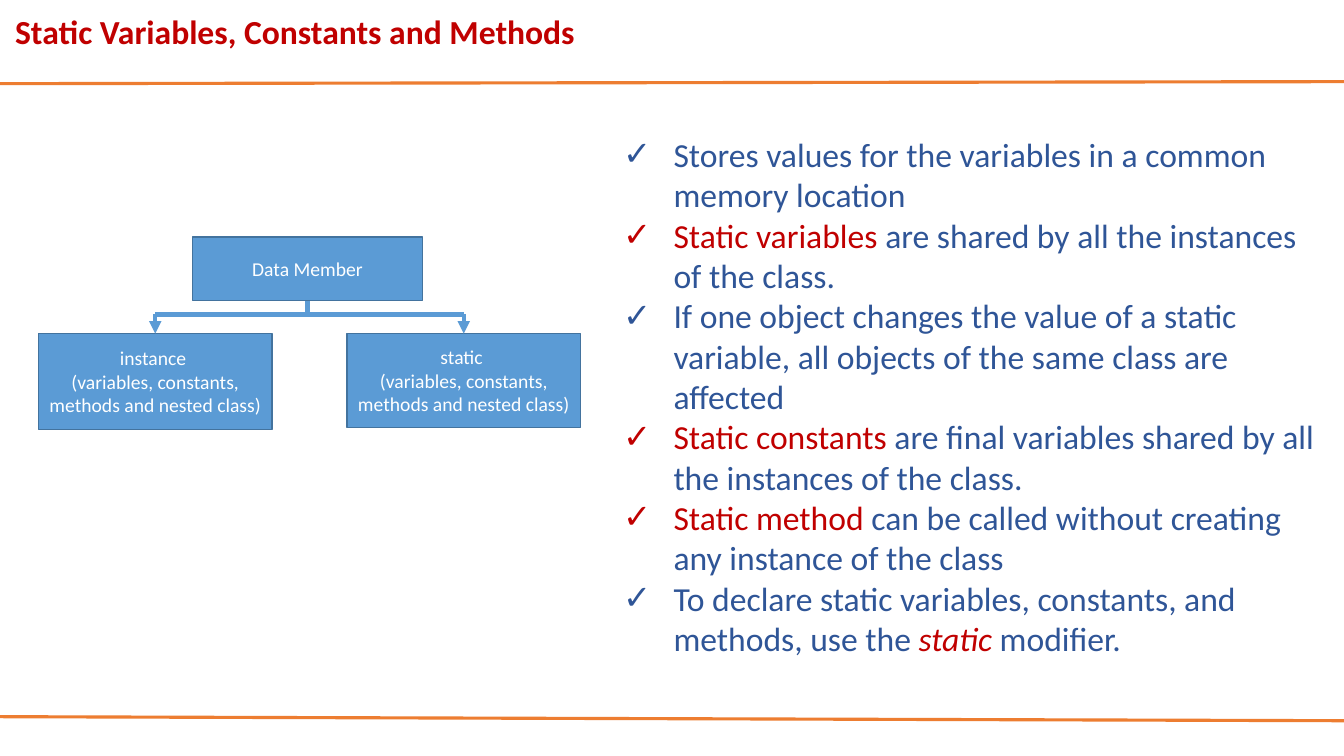
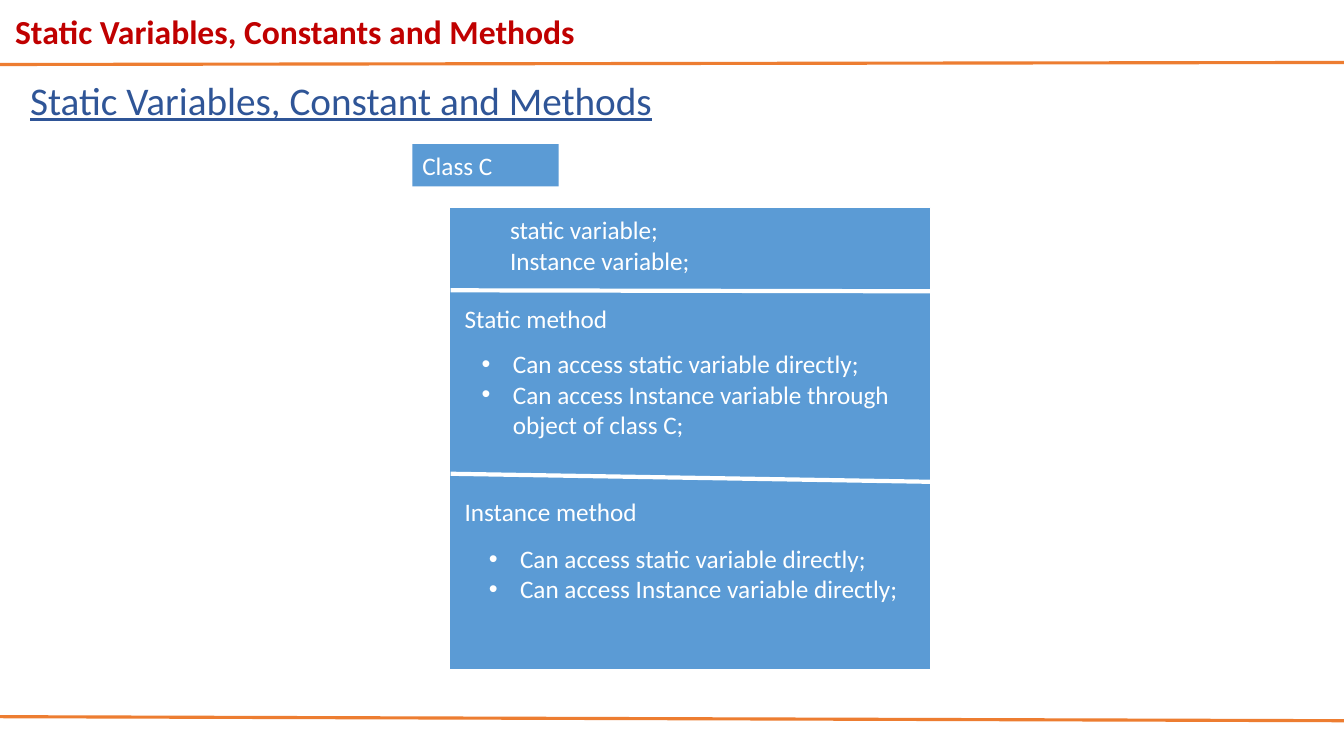
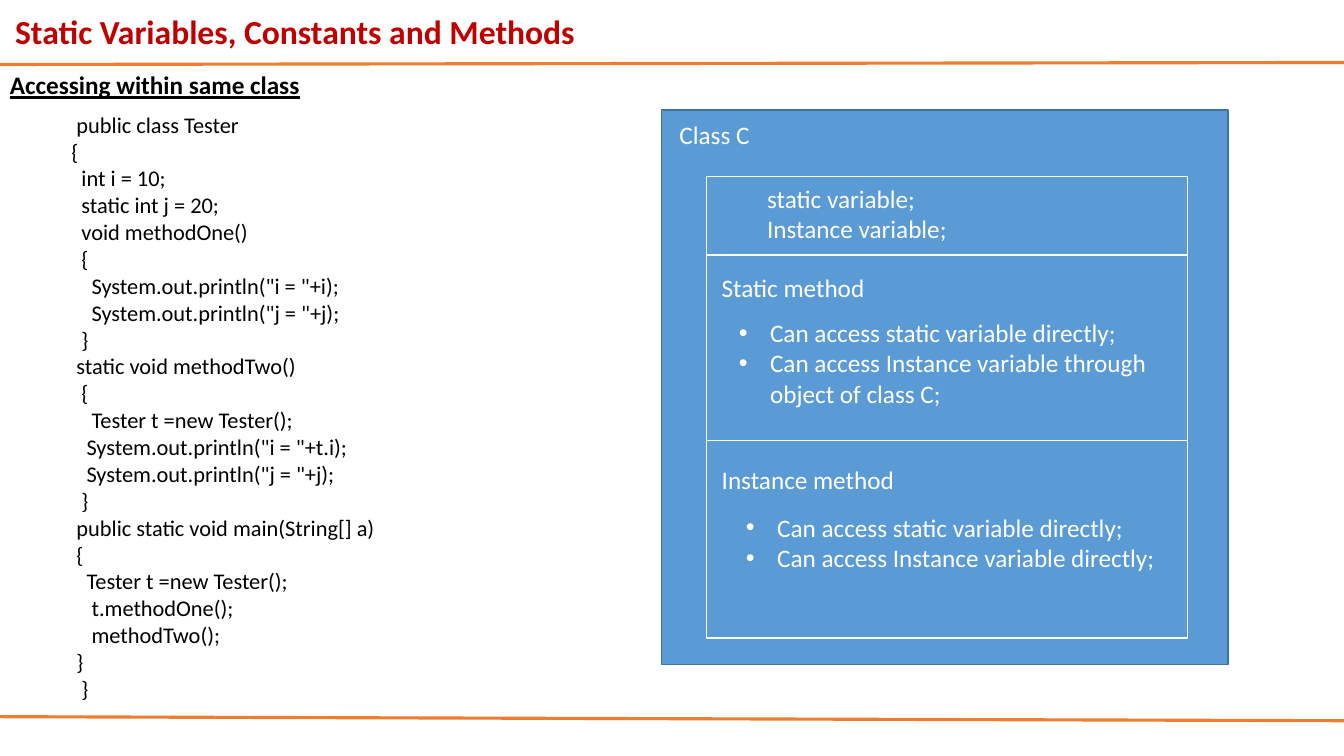
from lxml.etree import SubElement
from pptx import Presentation
from pptx.dml.color import RGBColor
from pptx.enum.shapes import MSO_CONNECTOR, MSO_SHAPE
from pptx.enum.text import MSO_ANCHOR, MSO_AUTO_SIZE, PP_ALIGN
from pptx.oxml.ns import qn
from pptx.util import Inches, Pt

TITLE = "Static Variables, Constants and Methods"
RED, NAVY, BLUE, EDGE = "C00000", "2F5597", "5B9BD5", "43739E"
ORANGE, WHITE, BLACK = "ED7D31", "FFFFFF", "000000"
TITLE_ONLY, TITLE_AND_BODY = 5, 1

FACTS = [
    ["Stores values for the variables in a common memory location"],
    [("Static variables ", RED), "are shared by all the instances of the class."],
    ["If one object changes the value of a static variable, "
     "all objects of the same class are affected"],
    [("Static constants ", RED),
     "are final variables shared by all the instances of the class."],
    [("Static method ", RED),
     "can be called without creating any instance of the class"],
    ["To declare static variables, constants, and methods, use the ",
     ("static", RED, True), " modifier."],
]

TESTER_CODE = """\
 public class Tester
{
  int i = 10;
  static int j = 20;
  void methodOne()
  {
    System.out.println("i = "+i);
    System.out.println("j = "+j);
  }
 static void methodTwo()
  {
    Tester t =new Tester();
   System.out.println("i = "+t.i);
   System.out.println("j = "+j);
  }
 public static void main(String[] a)
 {
   Tester t =new Tester();
    t.methodOne();
    methodTwo();
 }
  }"""


def color(value):
    return RGBColor.from_string(value)


class Deck:
    """Holds the shared style and the slide being built."""

    font = "Calibri"
    code_indent = 0.05

    def __init__(self):
        self.presentation = Presentation()
        self.presentation.slide_width = Inches(13.33)
        self.presentation.slide_height = Inches(7.5)
        self.slide = None

    def new_slide(self, layout, rule_y):
        """Start a slide with the title and the two orange rules."""
        layouts = self.presentation.slide_layouts
        self.slide = self.presentation.slides.add_slide(layouts[layout])
        title = self.slide.shapes.title
        self.place(title, 0, 0, 9.79, 0.61)
        self.add_lines(title, [TITLE], 24, RED, bold=True)
        frame = title.text_frame
        frame.vertical_anchor = MSO_ANCHOR.MIDDLE
        frame.margin_left = Inches(0.15)
        frame.margin_top = frame.margin_bottom = Inches(0.04)
        self.line(0, rule_y, 13.33, rule_y - 0.02, ORANGE, 2.25)
        self.line(0, 7.11, 13.33, 7.15, ORANGE, 2.25)

    def place(self, shape, left, top, width, height):
        shape.left, shape.top = Inches(left), Inches(top)
        shape.width, shape.height = Inches(width), Inches(height)

    def add_lines(self, shape, lines, size, text_color, align=PP_ALIGN.LEFT,
                  bullet=None, hanging=0.31, bold=False, underline=False):
        """Fill a shape; a line is a string or a list of runs.

        A run is a string or (text, color[, italic]). Leading spaces of a
        string line become a paragraph indent.
        """
        frame = shape.text_frame
        frame.word_wrap = True
        frame.auto_size = MSO_AUTO_SIZE.NONE
        for index, line in enumerate(lines):
            paragraph = frame.add_paragraph() if index else frame.paragraphs[0]
            paragraph.alignment = align
            paragraph.space_before = Pt(0)
            if bullet:
                self.add_bullet(paragraph, bullet, hanging)
            elif isinstance(line, str):
                spaces = len(line) - len(line.lstrip())
                self.indent(paragraph, spaces * self.code_indent, 0)
                line = line.lstrip()
            for item in [line] if isinstance(line, str) else line:
                text, run_color, italic = (
                    (item, text_color, False) if isinstance(item, str)
                    else (*item, False)[:3])
                run = paragraph.add_run()
                run.text = text
                run.font.name = self.font
                run.font.size = Pt(size)
                run.font.color.rgb = color(run_color)
                run.font.bold, run.font.italic = bold, italic
                run.font.underline = underline

    def indent(self, paragraph, left, first):
        properties = paragraph._p.get_or_add_pPr()
        properties.set("marL", str(Inches(left)))
        properties.set("indent", str(Inches(first)))
        return properties

    def add_bullet(self, paragraph, character, hanging):
        properties = self.indent(paragraph, hanging, -hanging)
        SubElement(properties, qn("a:buFont"), typeface="Arial")
        SubElement(properties, qn("a:buChar"), char=character)

    def text(self, left, top, width, height, lines, size, text_color, **style):
        box = self.slide.shapes.add_textbox(
            Inches(left), Inches(top), Inches(width), Inches(height))
        self.add_lines(box, lines, size, text_color, **style)

    def body(self, left, top, width, height, lines, size, text_color, **style):
        placeholder = self.slide.placeholders[1]
        self.place(placeholder, left, top, width, height)
        self.add_lines(placeholder, lines, size, text_color, **style)

    def box(self, left, top, width, height, fill=BLUE, edge=None, lines=(),
            size=14, align=PP_ALIGN.CENTER):
        shape = self.slide.shapes.add_shape(
            MSO_SHAPE.RECTANGLE,
            Inches(left), Inches(top), Inches(width), Inches(height))
        shape.shadow.inherit = False
        if fill:
            shape.fill.solid()
            shape.fill.fore_color.rgb = color(fill)
        else:
            shape.fill.background()
        if edge:
            shape.line.color.rgb = color(edge)
            shape.line.width = Pt(1)
        else:
            shape.line.fill.background()
        self.add_lines(shape, lines, size, WHITE, align)

    def line(self, x1, y1, x2, y2, line_color, width, arrow=False):
        connector = self.slide.shapes.add_connector(
            MSO_CONNECTOR.STRAIGHT,
            Inches(x1), Inches(y1), Inches(x2), Inches(y2))
        connector.line.color.rgb = color(line_color)
        connector.line.width = Pt(width)
        properties = connector.element.spPr
        if arrow:
            SubElement(properties.find(qn("a:ln")), qn("a:tailEnd"),
                       type="triangle")
        SubElement(properties, qn("a:effectLst"))

    def class_panel(self, left, top):
        """Draw the members of class C, measured from the panel's corner."""
        self.box(left, top, 4.77, 4.58, edge=WHITE)
        direct = "Can access static variable directly;"
        self.text(left + 0.5, top + 0.02, 3.01, 0.72,
                  ["static variable;", "Instance variable;"], 18, WHITE)
        methods = [
            ("Static method", 0.9, 0.22, 1.35,
             "Can access Instance variable through object of class C;"),
            ("Instance method", 2.81, 0.29, 3.28,
             "Can access Instance variable directly;"),
        ]
        for name, name_y, list_x, list_y, access in methods:
            self.text(left + 0.05, top + name_y, 4.03, 0.41, [name], 18, WHITE)
            self.text(left + list_x, top + list_y, 4.43, 1.03,
                      [direct, access], 18, WHITE, bullet="•")
        self.box(left - 0.37, top - 0.63, 1.45, 0.42, lines=["Class C"],
                 size=18, align=PP_ALIGN.LEFT)


def data_members(deck):
    deck.new_slide(TITLE_AND_BODY, 0.83)
    bar_y, child_y, child_width = 3.12, 3.31, 2.32
    children = [("instance", 0.38, 0.95), ("static", 3.44, 0.93)]
    centers = [left + child_width / 2 for _, left, _ in children]
    deck.box(1.91, 2.35, 2.28, 0.63, edge=EDGE, lines=["Data Member"])
    for name, left, height in children:
        deck.box(left, child_y, child_width, height, edge=EDGE, lines=[
            [name + " "], "(variables, constants, methods and nested class)"])
    deck.line(centers[0], bar_y, centers[1], bar_y, BLUE, 3)
    for center in centers:
        deck.line(center, bar_y, center, child_y, BLUE, 3, arrow=True)
    deck.line(3.05, 2.99, 3.05, bar_y, BLUE, 3)
    deck.body(6.08, 1.28, 7.2, 5.35, FACTS, 24, NAVY, bullet="✓", hanging=0.5)


def class_overview(deck):
    deck.new_slide(TITLE_ONLY, 0.64)
    deck.text(0.2, 0.71, 9.18, 0.57,
              ["Static Variables, Constant and Methods"], 28, NAVY,
              underline=True)
    deck.class_panel(4.46, 2.06)
    for start_y, end_y in [(4.7, 4.78), (2.88, 2.89)]:
        deck.line(4.47, start_y, 9.24, end_y, WHITE, 3)


def same_class_access(deck):
    deck.new_slide(TITLE_ONLY, 0.64)
    deck.text(0.61, 1.05, 4.51, 6.23, TESTER_CODE.splitlines(), 16, BLACK)
    deck.text(0, 0.64, 7.83, 0.41, ["Accessing within same class"], 18, BLACK,
              bold=True, underline=True)
    deck.box(6.56, 1.09, 5.62, 5.5, edge=EDGE)
    deck.class_panel(7.01, 1.75)
    deck.box(7.01, 2.53, 4.77, 1.84, fill=None, edge=WHITE)


def main():
    deck = Deck()
    data_members(deck)
    class_overview(deck)
    same_class_access(deck)
    deck.presentation.save("out.pptx")


if __name__ == "__main__":
    main()
